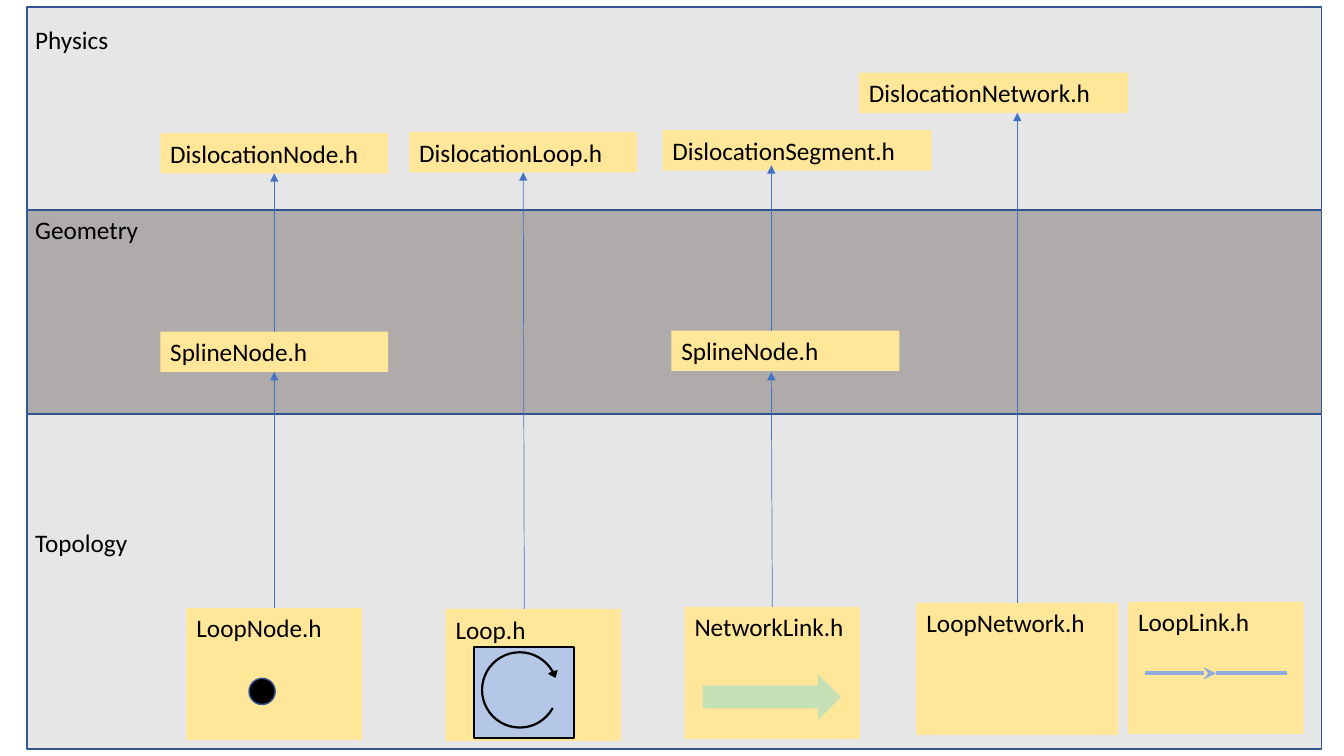
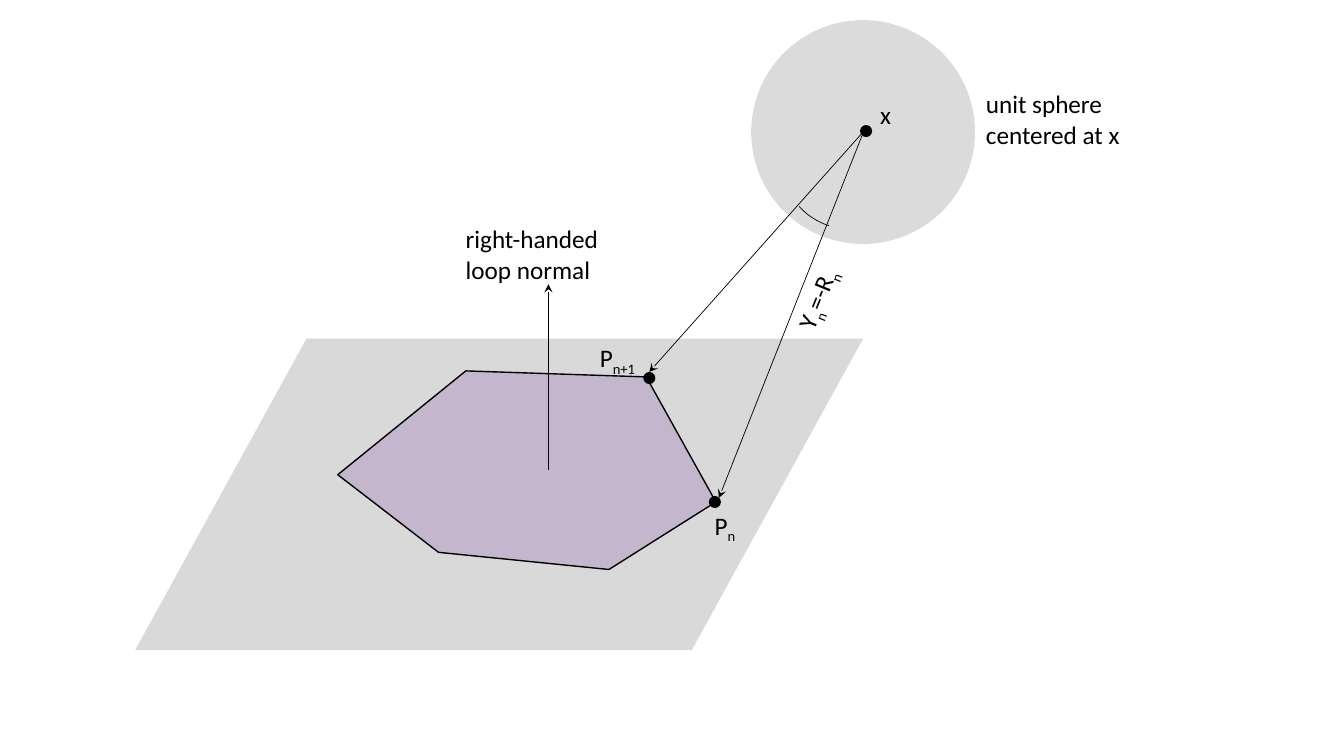
"""Build a class layer diagram and a sketch of a loop seen from a field point."""
from lxml import etree
from pptx import Presentation
from pptx.dml.color import RGBColor
from pptx.enum.shapes import MSO_CONNECTOR, MSO_SHAPE
from pptx.enum.text import MSO_ANCHOR, PP_ALIGN
from pptx.oxml.ns import qn
from pptx.util import Inches, Pt

RECT, OVAL = MSO_SHAPE.RECTANGLE, MSO_SHAPE.OVAL
RIGHT_ARROW, CIRCULAR_ARROW = MSO_SHAPE.RIGHT_ARROW, MSO_SHAPE.CIRCULAR_ARROW
PARALLELOGRAM, ARC = MSO_SHAPE.PARALLELOGRAM, MSO_SHAPE.ARC
STRAIGHT = MSO_CONNECTOR.STRAIGHT
TOP, BOTTOM = 0, 2
BLACK, PALE, DARK = "000000", "E7E6E6", "AFABAB"
OUTLINE, CARD, LINK, LOOP_LINK = "325491", "FFE699", "4472C4", "8FAADC"
FRAME = {"word_wrap": True, "vertical_anchor": MSO_ANCHOR.TOP}
FONT = {"name": "Calibri", "size": Pt(18)}
color = RGBColor.from_string


def put(slide, kind, box, fill=None, line=None, weight=1, text="", adjust=(), turn=0):
    """Place a shape, or a text box if kind is None; underscores enclose subscripts."""
    place = [Inches(length) for length in box]
    if kind is None:
        item = slide.shapes.add_textbox(*place)
    else:
        item = slide.shapes.add_shape(kind, *place)
        item.shadow.inherit = False
        for index, value in enumerate(adjust):
            item.adjustments[index] = value
    item.rotation = turn
    if fill:
        item.fill.solid()
        item.fill.fore_color.rgb = color(fill)
    else:
        item.fill.background()
    if line:
        item.line.color.rgb = color(line)
        item.line.width = Pt(weight)
    else:
        item.line.fill.background()
    if text:
        frame = item.text_frame
        for name, value in FRAME.items():
            setattr(frame, name, value)
        for number, words in enumerate(text.split("\n")):
            paragraph = frame.add_paragraph() if number else frame.paragraphs[0]
            paragraph.alignment = PP_ALIGN.LEFT
            for index, part in enumerate(words.split("_")):
                if part:
                    run = paragraph.add_run()
                    run.text = part
                    for name, value in FONT.items():
                        setattr(run.font, name, value)
                    run.font.color.rgb = color(BLACK)
                    if index % 2:
                        run.font._element.set("baseline", "-25000")
    return item


def connect(slide, start, end, stroke, weight, arrow=None):
    """Draw a straight line with an optional arrowhead at its end."""
    connector = slide.shapes.add_connector(
        STRAIGHT, *[Inches(length) for length in (*start, *end)])
    connector.line.color.rgb = color(stroke)
    connector.line.width = Pt(weight)
    properties = connector._element.spPr
    if arrow:
        etree.SubElement(properties.find(qn("a:ln")), qn("a:tailEnd"), type=arrow)
    etree.SubElement(properties, qn("a:effectLst"))
    return connector


deck = Presentation()
deck.slide_width, deck.slide_height = Inches(13.33), Inches(7.5)
blank = deck.slide_layouts[6]

layers = deck.slides.add_slide(blank)
for name, top, height, fill, label_top in (
        ("Topology", 4.11, 3.32, PALE, 5.18),
        ("Geometry", 2.09, 2.01, DARK, 2.08),
        ("Physics", 0.07, 2.01, PALE, 0.19)):
    put(layers, RECT, (0.27, top, 12.84, height), fill, OUTLINE)
    put(layers, None, (0.25, label_top, 1.25, 0.4), text=name)

class_boxes = {
    "loop node": ("LoopNode.h", 1.85, 6.03, 1.74, 1.31),
    "loop": ("Loop.h", 4.42, 6.04, 1.74, 1.31),
    "network link": ("NetworkLink.h", 6.79, 6.02, 1.74, 1.31),
    "loop network": ("LoopNetwork.h", 9.09, 5.98, 2, 1.31),
    "loop link": ("LoopLink.h", 11.19, 5.97, 1.74, 1.31),
    "node spline": ("SplineNode.h", 1.59, 3.29, 2.26, 0.4),
    "segment spline": ("SplineNode.h", 6.66, 3.28, 2.26, 0.4),
    "node": ("DislocationNode.h", 1.59, 1.32, 2.26, 0.4),
    "dislocation loop": ("DislocationLoop.h", 4.06, 1.31, 2.26, 0.4),
    "segment": ("DislocationSegment.h", 6.57, 1.29, 2.67, 0.4),
    "network": ("DislocationNetwork.h", 8.52, 0.72, 2.67, 0.4),
}
classes = {key: put(layers, RECT, box, CARD, text=name)
           for key, (name, *box) in class_boxes.items()}

for base, derived, x, start_y, end_y in (
        ("loop node", "node spline", 2.72, 6.03, 3.69),
        ("node spline", "node", 2.72, 3.29, 1.72),
        ("loop", "dislocation loop", 5.2, 6.04, 1.71),
        ("network link", "segment spline", 7.65, 6.02, 3.69),
        ("segment spline", "segment", 7.65, 3.28, 1.64),
        ("loop network", "network", 10.09, 5.98, 1.12)):
    inheritance = connect(layers, (x, start_y), (x, end_y), LINK, 0.5, "triangle")
    for key, join, side in ((base, inheritance.begin_connect, TOP),
                            (derived, inheritance.end_connect, BOTTOM)):
        box = classes[key]
        if abs(box.left + box.width / 2 - Inches(x)) < Inches(0.02):
            join(box, side)

put(layers, OVAL, (2.47, 6.73, 0.26, 0.26), BLACK, OUTLINE)
put(layers, RECT, (4.7, 6.42, 0.99, 0.9), "B4C7E7", BLACK, 1.5)
put(layers, CIRCULAR_ARROW, (4.74, 6.43, 0.83, 0.83), BLACK, BLACK,
    adjust=(0.01, 4.83, 199.14, 17.74, 0.05))
put(layers, RIGHT_ARROW, (6.97, 6.69, 1.37, 0.45), "C5E0B4")
connect(layers, (11.36, 6.68), (12.06, 6.68), LOOP_LINK, 3, "stealth")
connect(layers, (12.06, 6.68), (12.76, 6.68), LOOP_LINK, 3)

sketch = deck.slides.add_slide(blank)
put(sketch, OVAL, (7.45, 0.2, 2.22, 2.22), "DBDBDB")
put(sketch, PARALLELOGRAM, (1.34, 3.36, 7.22, 3.09), "D9D9D9", adjust=(0.55,))

corners = [(Inches(x), Inches(y)) for x, y in (
    (4.62, 3.68), (6.41, 3.74), (7.1, 4.98), (6.04, 5.65), (4.35, 5.48), (3.35, 4.71))]
outline = sketch.shapes.build_freeform(*corners[0])
outline.add_line_segments(corners[1:], close=True)
loop = outline.convert_to_shape()
loop.shadow.inherit = False
loop.fill.solid()
loop.fill.fore_color.rgb = color("7030A0")
tint = loop._element.spPr.find(qn("a:solidFill")).find(qn("a:srgbClr"))
etree.SubElement(tint, qn("a:alpha"), val="20000")
loop.line.color.rgb = color(BLACK)
loop.line.width = Pt(1)

for start, end, weight in (
        ((8.56, 1.31), (6.44, 3.69), 0.5),
        ((8.56, 1.32), (7.13, 4.94), 0.5),
        ((5.44, 4.66), (5.44, 2.82), 0.1)):
    connect(sketch, start, end, BLACK, weight, "stealth")
put(sketch, ARC, (7.75, 0.9, 1.41, 1.37), line=BLACK, weight=0.5,
    adjust=(188.75, 206.29), turn=155)
for left, top in ((8.53, 1.24), (7.03, 4.92), (6.38, 3.69)):
    put(sketch, OVAL, (left, top, 0.12, 0.12), BLACK)

for text, box, turn in (
        ("P_n", (6.99, 5.01, 0.47, 0.4), 0),
        ("P_n+1", (5.85, 3.35, 0.78, 0.4), 0),
        ("x", (8.63, 0.94, 0.47, 0.4), 0),
        ("Y_n_=-R_n", (7.59, 2.61, 1.14, 0.4), 292.1),
        ("unit sphere\ncentered at x", (9.68, 0.83, 1.6, 0.71), 0),
        ("right-handed loop normal", (4.52, 2.17, 1.6, 0.71), 0)):
    put(sketch, None, box, text=text, turn=turn)

deck.save("out.pptx")
